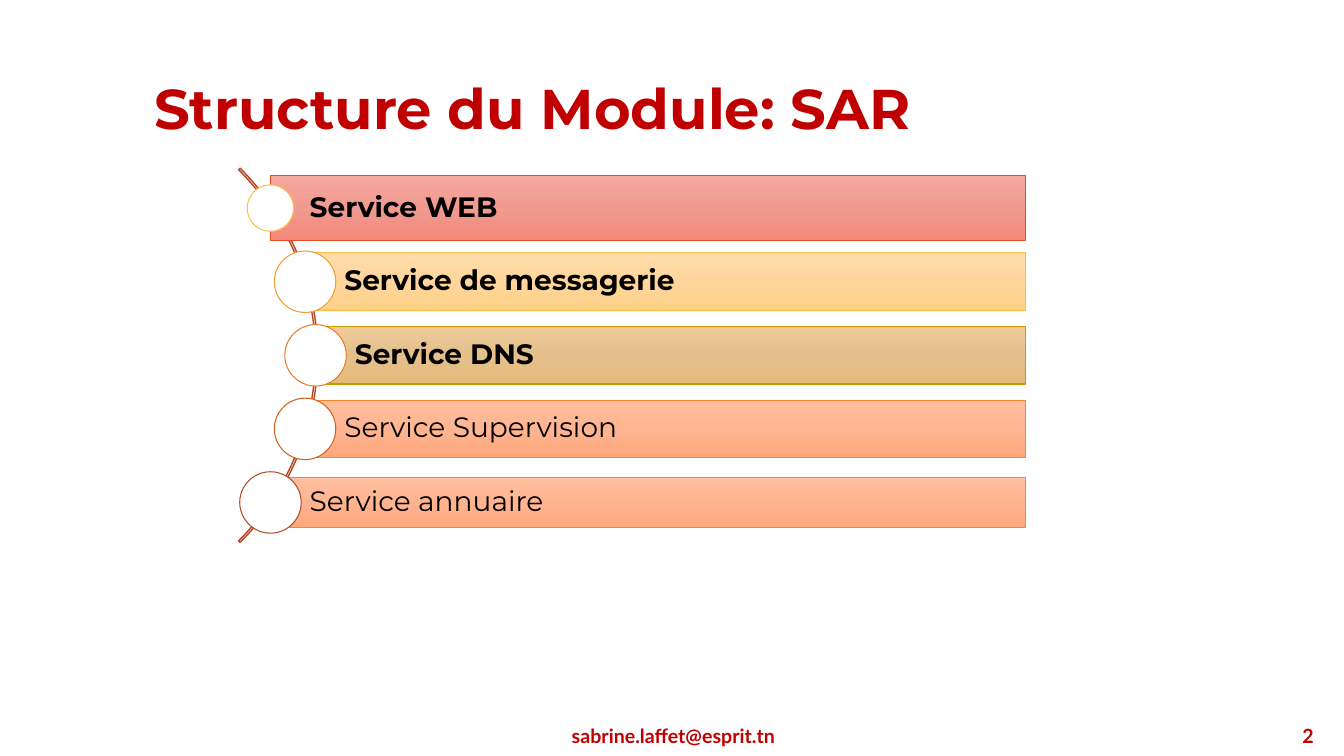
import copy
import math

import pptx
import pptx.dml.color
import pptx.enum.shapes
import pptx.enum.text
import pptx.util
from pptx.oxml.ns import qn

RGBColor = pptx.dml.color.RGBColor
Inches = pptx.util.Inches
Pt = pptx.util.Pt
SHAPE = pptx.enum.shapes.MSO_SHAPE
ALIGN = pptx.enum.text.PP_ALIGN
ANCHOR = pptx.enum.text.MSO_ANCHOR

WHITE = RGBColor(0xFF, 0xFF, 0xFF)
BLACK = RGBColor(0x00, 0x00, 0x00)
DARK_RED = RGBColor(0xC0, 0x00, 0x00)
ARC_BROWN = RGBColor(0xB5, 0x46, 0x23)
RED = RGBColor(0xE8, 0x4C, 0x22)
AMBER = RGBColor(0xFF, 0xBD, 0x47)
GOLD = RGBColor(0xCC, 0x99, 0x00)
ORANGE = RGBColor(0xFF, 0x84, 0x27)
RED_SHADES = [RGBColor(0xF4, 0xA8, 0x9E), RGBColor(0xF1, 0x9A, 0x90), RGBColor(0xF4, 0x89, 0x7B)]
AMBER_SHADES = [RGBColor(0xFF, 0xDD, 0xAB), RGBColor(0xFF, 0xD5, 0x9B), RGBColor(0xFF, 0xD1, 0x88)]
GOLD_SHADES = [RGBColor(0xEE, 0xCB, 0x9A), RGBColor(0xE4, 0xC0, 0x8D), RGBColor(0xE5, 0xBA, 0x78)]
ORANGE_SHADES = [RGBColor(0xFF, 0xBF, 0xA0), RGBColor(0xFF, 0xB4, 0x91), RGBColor(0xFF, 0xA8, 0x7C)]

# label, bold, bar height, bar shades, bar line, circle size, circle line
SERVICES = [
    ("Service WEB", True, 0.65, RED_SHADES, RED, 0.46, AMBER),
    ("Service de messagerie", True, 0.57, AMBER_SHADES, AMBER, 0.61, RGBColor(0xF5, 0x9C, 0x34)),
    ("Service DNS", True, 0.57, GOLD_SHADES, GOLD, 0.61, RGBColor(0xEA, 0x7B, 0x25)),
    ("Service Supervision", False, 0.57, ORANGE_SHADES, ORANGE, 0.61, RGBColor(0xD5, 0x5E, 0x1F)),
    ("Service annuaire", False, 0.49, ORANGE_SHADES, ORANGE, 0.61, RGBColor(0xB5, 0x48, 0x25)),
]
ROW_PITCH = 0.73


def write_text(shape, text, font_name, size, color, bold, align=ALIGN.LEFT):
    frame = shape.text_frame
    frame.word_wrap = True
    frame.auto_size = pptx.enum.text.MSO_AUTO_SIZE.NONE
    frame.vertical_anchor = ANCHOR.MIDDLE
    frame.text = text
    paragraph = frame.paragraphs[0]
    paragraph.alignment = align
    font = paragraph.font
    font.name, font.size, font.bold = font_name, Pt(size), bold
    font.color.rgb = color
    return paragraph


def add_outlined(slide, kind, box, line_color, line_width):
    shape = slide.shapes.add_shape(kind, *map(Inches, box))
    shape.shadow.inherit = False
    shape.line.color.rgb = line_color
    shape.line.width = Pt(line_width)
    return shape


def fill_downward(shape, shades):
    """Fill with a top-to-bottom gradient of evenly spaced shades."""
    shape.fill.gradient()
    shape.fill.gradient_angle = 270
    stop_list = shape.element.spPr.find(qn("a:gradFill")).find(qn("a:gsLst"))
    stop_list.insert(1, copy.deepcopy(stop_list[0]))
    for index, (stop, shade) in enumerate(zip(shape.fill.gradient_stops, shades)):
        stop.position = index / (len(shades) - 1)
        stop.color.rgb = shade


def add_title(slide, box):
    title = slide.shapes.title
    title.left, title.top, title.width, title.height = map(Inches, box)
    paragraph = write_text(title, "Structure du Module: SAR", "Montserrat", 40, DARK_RED, True)
    paragraph.line_spacing = 0.9


def add_footer(slide, box, text, align):
    footer = slide.shapes.add_textbox(*map(Inches, box))
    write_text(footer, text, "Lato", 14, DARK_RED, True, align)


def add_service_list(slide, arc_box, right):
    """Place bars and circles at equal heights along the right side of the arc."""
    left, top, diameter, _ = arc_box
    arc = add_outlined(slide, SHAPE.BLOCK_ARC, arc_box, ARC_BROWN, 1)
    arc.fill.background()
    for index, value in enumerate((189, 27, 0.004)):
        arc.adjustments[index] = value
    radius = diameter / 2
    for row, (label, bold, height, shades, bar_line, size, circle_line) in enumerate(SERVICES):
        offset = (row - len(SERVICES) // 2) * ROW_PITCH
        x = left + radius + math.sqrt((radius - 0.02) ** 2 - offset ** 2)
        y = top + radius + offset

        bar = add_outlined(slide, SHAPE.RECTANGLE, (x, y - height / 2, right - x, height), bar_line, 0.75)
        fill_downward(bar, shades)
        write_text(bar, label, "Montserrat", 20, BLACK, bold).line_spacing = 0.9
        frame = bar.text_frame
        frame.margin_left = Inches(0.39)
        frame.margin_top = frame.margin_right = frame.margin_bottom = Inches(0.06)

        circle = add_outlined(slide, SHAPE.OVAL, (x - size / 2, y - size / 2, size, size), circle_line, 0.75)
        circle.fill.solid()
        circle.fill.fore_color.rgb = WHITE


def main():
    presentation = pptx.Presentation()
    presentation.slide_width, presentation.slide_height = Inches(13.33), Inches(7.5)
    slide = presentation.slides.add_slide(presentation.slide_layouts.get_by_name("Title Only"))
    add_title(slide, (1.43, 0.38, 11.5, 1.45))
    add_service_list(slide, (-2.1, 0.9, 5.25, 5.25), 10.17)
    add_footer(slide, (4.43, 7.1, 4.5, 0.4), "sabrine.laffet@esprit.tn", ALIGN.CENTER)
    add_footer(slide, (10.13, 7.1, 3, 0.4), "2", ALIGN.RIGHT)
    presentation.save("out.pptx")


if __name__ == "__main__":
    main()
